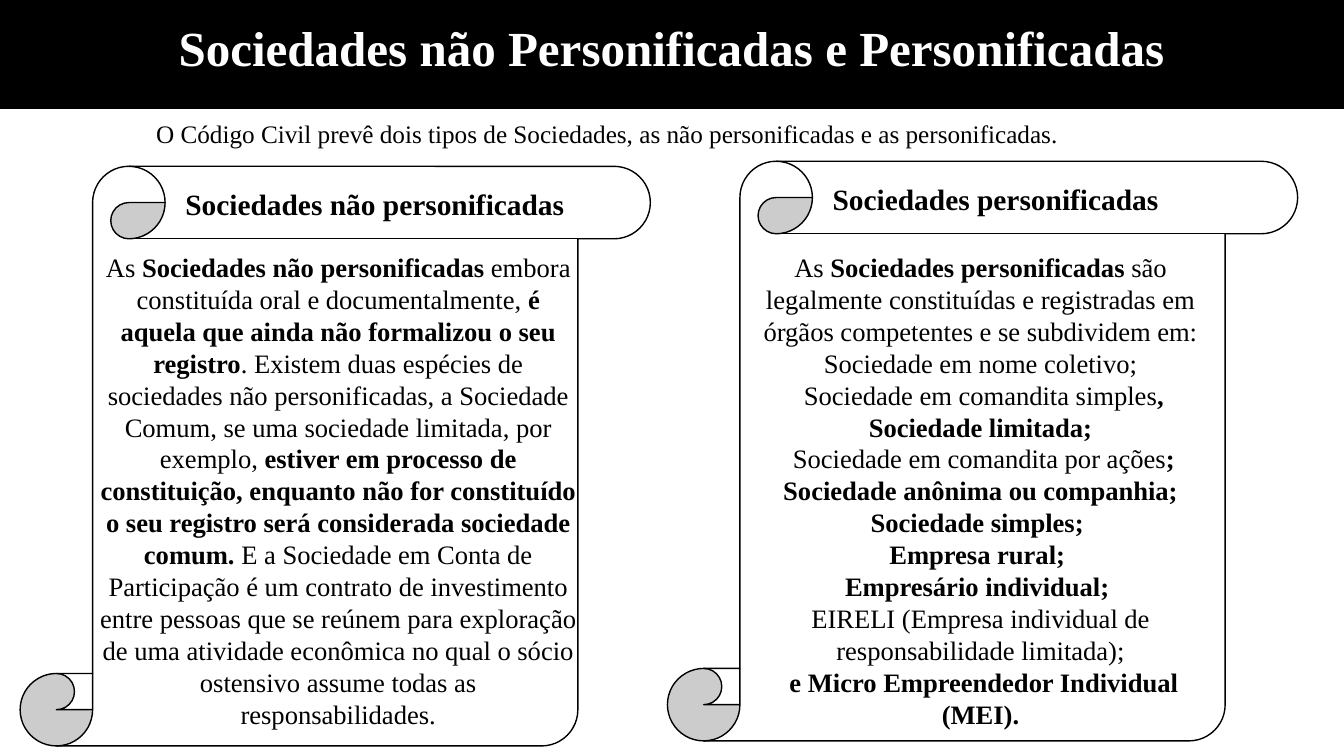
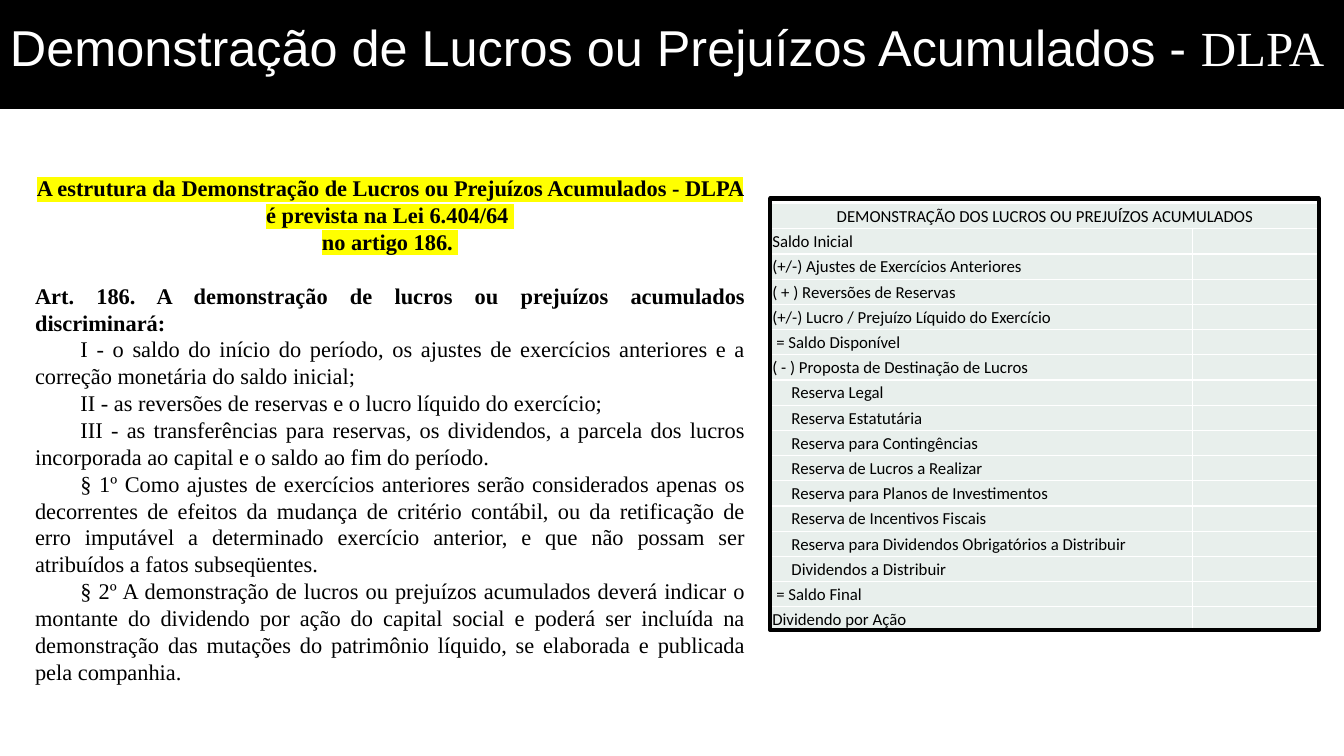
"""Build two slides on company types and the statement of retained earnings."""
from lxml import etree
from pptx import Presentation
from pptx import util as u
from pptx.dml.color import RGBColor
from pptx.enum import shapes, text
from pptx.oxml.ns import qn

THEME = {
    "ink": RGBColor.from_string("000000"),
    "paper": RGBColor.from_string("FFFFFF"),
    "cell": RGBColor.from_string("E8EFEC"),
    "mark": "FFFF00",
    "serif": "Times New Roman",
    "sans": "Arial",
    "grid": "Calibri",
    "title": 35,
    "head": 21,
    "body": 19,
    "lead": 18,
    "law": 16,
    "row": 12,
}
LEFT, MID, JUST = text.PP_ALIGN.LEFT, text.PP_ALIGN.CENTER, text.PP_ALIGN.JUSTIFY
KIND = shapes.MSO_SHAPE


def write(frame, lines, size, align=LEFT, font="serif", tint="ink"):
    """Fill a frame; ** switches bold on and off."""
    frame.word_wrap = True
    frame.text = "\n".join(lines)
    for par, line in zip(frame.paragraphs, lines):
        par.text = ""
        par.alignment = align
        for i, part in enumerate(line.split("**")):
            if part:
                run = par.add_run()
                run.text = part
                run.font.bold = i % 2 == 1
                run.font.size = u.Pt(THEME[size])
                run.font.color.rgb = THEME[tint]
                run.font.name = THEME[font]
    return frame.paragraphs


def draw(slide, kind, spot, fill, line=1):
    """Add a black-lined shape, filled when a colour is named."""
    shape = slide.shapes.add_shape(kind, *map(u.Inches, spot))
    shape.shadow.inherit = False
    if fill:
        shape.fill.solid()
        shape.fill.fore_color.rgb = THEME[fill]
    else:
        shape.fill.background()
    shape.line.color.rgb = THEME["ink"]
    shape.line.width = u.Pt(line)
    return shape


deck = Presentation()
deck.slide_width, deck.slide_height = u.Inches(13.33), u.Inches(7.5)

titles = [
    "**Sociedades não Personificadas e Personificadas**",
    "Demonstração de Lucros ou Prejuízos Acumulados - ****DLPA ",
]
pages, heads = [], []
for title in titles:
    page = deck.slides.add_slide(deck.slide_layouts[6])
    band = draw(page, KIND.RECTANGLE, (0, -0.15, 13.33, 1.23), "ink")
    band.text_frame.vertical_anchor = text.MSO_ANCHOR.MIDDLE
    heads += write(band.text_frame, [title], "title", MID, tint="paper")
    pages.append(page)
first, second = pages
heads[1].runs[0].font.name = THEME["sans"]
heads[1].runs[0].font.size = u.Pt(36)

lead = first.shapes.add_textbox(*map(u.Inches, (1.45, 1.16, 11, 0.4)))
par = write(lead.text_frame, [
    "O Código Civil prevê dois tipos de Sociedades, as não personificadas e as personificadas."
], "lead")[0]
par.line_spacing = 0.9

scrolls = [
    ((0.2, 1.65), "Sociedades não personificadas", (0.89, 2.44, 4.93, 5.22), [
        "As **Sociedades não personificadas **embora constituída oral e documentalmente, "
        "**é aquela que ainda não formalizou o seu registro**. Existem duas espécies de "
        "sociedades não personificadas, a Sociedade Comum, se uma sociedade limitada, por "
        "exemplo, **estiver em processo de constituição, enquanto não for constituído o seu "
        "registro será considerada sociedade comum.** E a Sociedade em Conta de Participação "
        "é um contrato de investimento entre pessoas que se reúnem para exploração de uma "
        "atividade econômica no qual o sócio ostensivo assume todas as responsabilidades.",
    ]),
    ((6.62, 1.6), "Sociedades personificadas", (7.34, 2.44, 4.77, 4.9), [
        "As **Sociedades personificadas **são legalmente constituídas e registradas em "
        "órgãos competentes e se subdividem em: Sociedade em nome coletivo;",
        " Sociedade em comandita simples**, Sociedade limitada;**",
        " Sociedade em comandita por ações**; Sociedade anônima ou companhia; "
        "Sociedade simples; **",
        "**Empresa rural; **",
        "**Empresário individual; **",
        "EIRELI (Empresa individual de responsabilidade limitada);",
        " **e Micro Empreendedor Individual (MEI).**",
    ]),
]
for (x, y), name, spot, lines in scrolls:
    draw(first, KIND.VERTICAL_SCROLL, (x, y, 6.25, 5.75), "paper")
    body = first.shapes.add_textbox(*map(u.Inches, spot))
    write(body.text_frame, lines, "body", MID)
    head = first.shapes.add_textbox(*map(u.Inches, (x + 1.54, y + 0.15, 4.37, 0.45)))
    write(head.text_frame, [f"**{name}**"], "head")

law = second.shapes.add_textbox(*map(u.Inches, (0.25, 1.68, 7.24, 5.22)))
pars = write(law.text_frame, [
    "**A estrutura da Demonstração de Lucros ou Prejuízos Acumulados - DLPA **",
    "**é prevista na Lei 6.404/64 **",
    "**no artigo 186. **",
    "**Art. 186. A demonstração de lucros ou prejuízos acumulados discriminará:**",
    "I - o saldo do início do período, os ajustes de exercícios anteriores e a "
    "correção monetária do saldo inicial;",
    "II - as reversões de reservas e o lucro líquido do exercício;",
    "III - as transferências para reservas, os dividendos, a parcela dos lucros "
    "incorporada ao capital e o saldo ao fim do período.",
    "§ 1º Como ajustes de exercícios anteriores serão considerados apenas os decorrentes "
    "de efeitos da mudança de critério contábil, ou da retificação de erro imputável a "
    "determinado exercício anterior, e que não possam ser atribuídos a fatos subseqüentes.",
    "§ 2º A demonstração de lucros ou prejuízos acumulados deverá indicar o montante do "
    "dividendo por ação do capital social e poderá ser incluída na demonstração das "
    "mutações do patrimônio líquido, se elaborada e publicada pela companhia.",
], "law", JUST)
for par in pars[:3]:
    par.alignment = MID
    for run in par.runs:
        glow = etree.Element(qn("a:highlight"))
        etree.SubElement(glow, qn("a:srgbClr"), val=THEME["mark"])
        run.font._element.find(qn("a:latin")).addprevious(glow)
pars[3].space_before = u.Pt(19.2)
for par in pars[4:]:
    par._p.get_or_add_pPr().set("indent", str(u.Inches(0.45)))

rows = [
    (0, "DEMONSTRAÇÃO DOS LUCROS OU PREJUÍZOS ACUMULADOS"),
    (0, "Saldo Inicial"),
    (0, "(+/-) Ajustes de Exercícios Anteriores"),
    (0, "( + ) Reversões de Reservas"),
    (0, "(+/-) Lucro / Prejuízo Líquido do Exercício"),
    (0.04, "= Saldo Disponível"),
    (0, "( - ) Proposta de Destinação de Lucros"),
    (0.19, "Reserva Legal"),
    (0.19, "Reserva Estatutária"),
    (0.19, "Reserva para Contingências"),
    (0.19, "Reserva de Lucros a Realizar"),
    (0.19, "Reserva para Planos de Investimentos"),
    (0.19, "Reserva de Incentivos Fiscais"),
    (0.19, "Reserva para Dividendos Obrigatórios a Distribuir"),
    (0.19, "Dividendos a Distribuir"),
    (0.04, "= Saldo Final"),
    (0, "Dividendo por Ação"),
]
spot = (7.65, 2.02, 5.43, 0.25 * len(rows))
grid = second.shapes.add_table(len(rows), 2, *map(u.Inches, spot)).table
grid.first_row = grid.horz_banding = False
grid.columns[0].width, grid.columns[1].width = u.Inches(4.18), u.Inches(1.25)
for i, (inset, label) in enumerate(rows):
    for j, cell in enumerate(grid.rows[i].cells):
        cell.fill.solid()
        cell.fill.fore_color.rgb = THEME["cell"]
        cell.vertical_anchor = text.MSO_ANCHOR.MIDDLE
        cell.margin_left = u.Inches(0.01 + inset)
        cell.margin_right = cell.margin_top = u.Inches(0.01)
        cell.margin_bottom = 0
        if j == 0:
            write(cell.text_frame, [label], "row", LEFT if i else MID, "grid")
        else:
            end = cell.text_frame.paragraphs[0]._p
            etree.SubElement(end, qn("a:endParaRPr"), sz=str(THEME["row"] * 100))
grid.cell(0, 0).merge(grid.cell(0, 1))
draw(second, KIND.RECTANGLE, (7.64, 1.97, 5.44, 4.28), None, 3)

deck.save("out.pptx")
